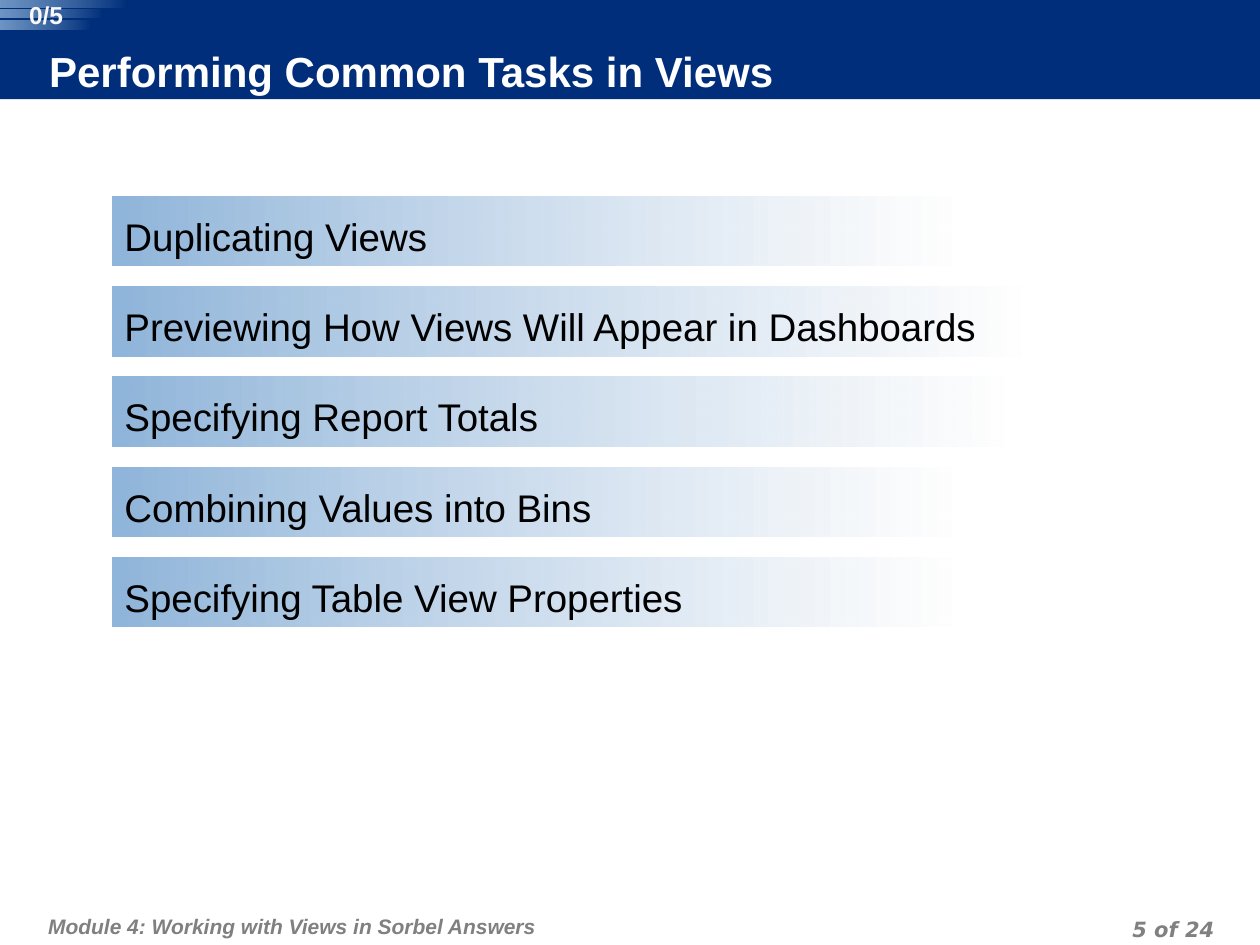
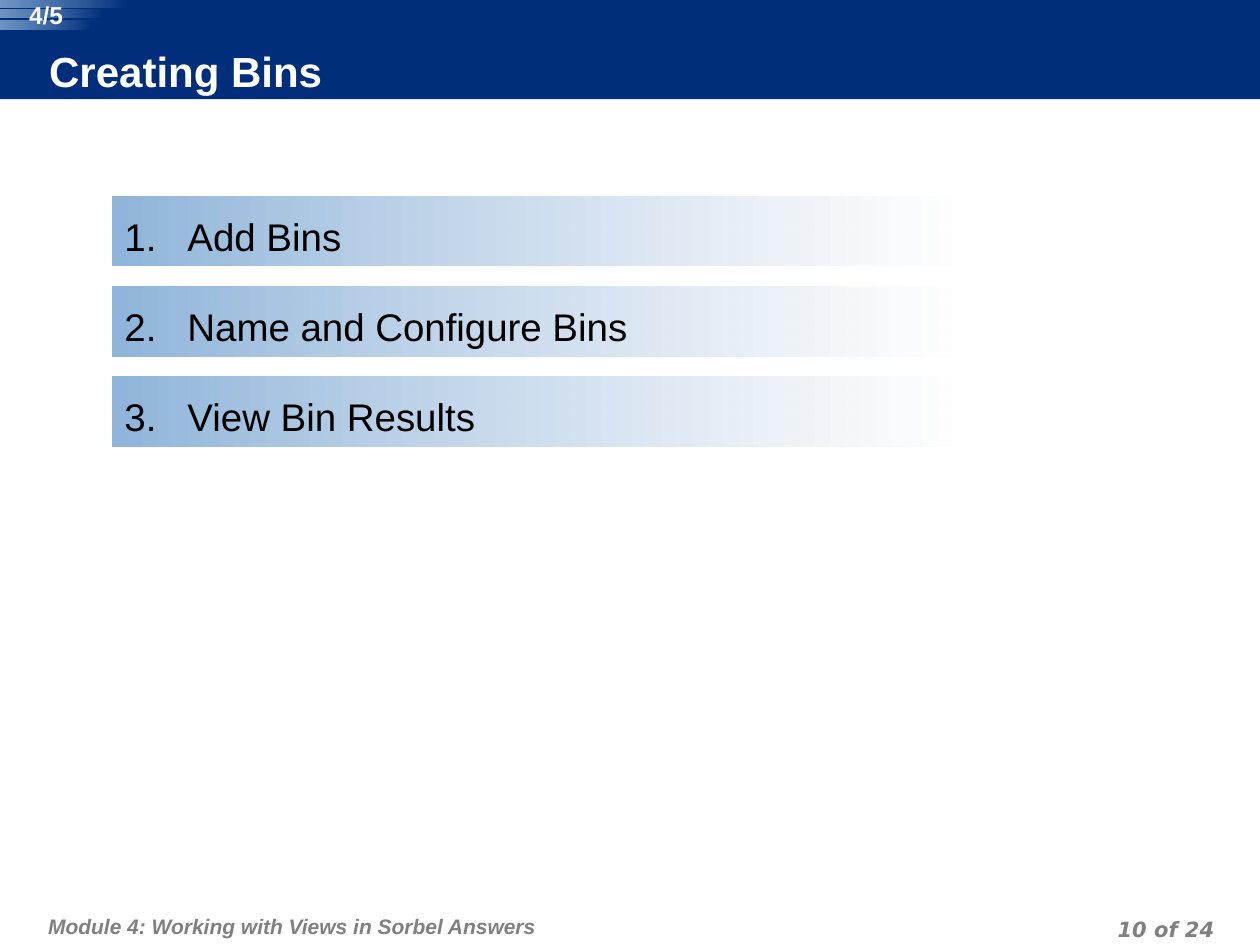
from lxml import etree
from pptx import Presentation
from pptx.dml.color import RGBColor
from pptx.enum import shapes, text
from pptx.oxml.ns import qn
from pptx.util import Cm, Pt

# Theme: colours, type sizes, text looks
ALIGN = text.PP_ALIGN
THEME = {
    "navy": RGBColor.from_string("002E7A"),
    "sky": RGBColor.from_string("90B5DA"),
    "pale": RGBColor.from_string("FEFEFE"),
    "title": dict(size=24, color="FFFFFF", bold=True, pad=(0, 0, 0.13, 0.13)),
    "item": dict(size=22, color="000000", pad=(0.25, 0.33, 0.25, 0.13)),
    "foot": dict(size=12, color="808080", bold=True, italic=True, line=18,
                 pad=(0.13, 0.25, 0.13, 0.13)),
    "page": dict(size=12, color="808080", bold=True, italic=True, line=18,
                 name="DejaVu Sans", align=ALIGN.RIGHT, pad=(0.13, 0, 0.13, 0)),
    "count": dict(size=14, color="F8F8F8", bold=True, align=ALIGN.CENTER,
                  pad=(0, 0, 0, 0)),
}

# Slide content: title, page, count, numbered or not, bars as (text, width)
WIDE = 16.92
DECK = [
    ("Performing Common Tasks in Views", "5 of 24", "0/5", False, [
        ("Duplicating Views", WIDE),
        ("Previewing How Views Will Appear in Dashboards", 18.31),
        ("Specifying Report Totals", 17.98),
        ("Combining Values into Bins", WIDE),
        ("Specifying Table View Properties", WIDE)]),
    ("Creating Bins", "10 of 24", "4/5", True, [
        ("Add Bins", WIDE),
        ("Name and Configure Bins", WIDE),
        ("View Bin Results", WIDE)]),
]
FOOT = "Module 4: Working with Views in Sorbel Answers"
LEFT, TOP, PITCH, TALL = 2.26, 3.96, 1.82, 1.4
STRIPES = [(0, 2.57, 0.15), (0.2, 2.08, 0.15), (0.41, 1.85, 0.18)]


def write(shape, words, look, anchor=text.MSO_ANCHOR.TOP):
    """Put formatted text into a shape and return its paragraph."""
    frame = shape.text_frame
    sides = zip(("left", "top", "right", "bottom"), look["pad"])
    layout = {"margin_" + side: Cm(pad) for side, pad in sides}
    layout.update(word_wrap=True, vertical_anchor=anchor,
                  auto_size=text.MSO_AUTO_SIZE.NONE)
    for key, value in layout.items():
        setattr(frame, key, value)
    para = frame.paragraphs[0]
    para.alignment = look.get("align", ALIGN.LEFT)
    if "line" in look:
        para.line_spacing = Pt(look["line"])
    run = para.add_run()
    run.text = words
    font = {"name": look.get("name", "Arial"), "size": Pt(look["size"]),
            "bold": look.get("bold", False), "italic": look.get("italic", False)}
    for key, value in font.items():
        setattr(run.font, key, value)
    run.font.color.rgb = RGBColor.from_string(look["color"])
    return para


def block(parent, box, *stops):
    """Draw a borderless rectangle; two (colour, opacity) stops make a fade."""
    shape = parent.add_shape(shapes.MSO_SHAPE.RECTANGLE, *map(Cm, box))
    shape.shadow.inherit = False
    shape.line.fill.background()
    if len(stops) == 1:
        shape.fill.solid()
        shape.fill.fore_color.rgb = stops[0][0]
        return shape
    shape.fill.gradient()
    shape.fill.gradient_angle = 180
    for stop, (color, _) in zip(shape.fill.gradient_stops, stops):
        stop.color.rgb = color
    nodes = shape.element.spPr.iter(qn("a:srgbClr"))
    for node, (_, alpha) in zip(nodes, stops):
        etree.SubElement(node, qn("a:alpha"), val=str(alpha * 1000))
    return shape


deck = Presentation()
deck.slide_width, deck.slide_height = Cm(25.4), Cm(19.05)
navy, sky, pale = THEME["navy"], THEME["sky"], THEME["pale"]

for head, page, count, numbered, bars in DECK:
    slide = deck.slides.add_slide(deck.slide_layouts[5])
    pool = slide.shapes

    # Top band, sent behind the title
    band = block(pool, (0, 0, 25.4, 2), (navy, 100))
    pool.title.element.addprevious(band.element)

    # Title
    title = pool.title
    spot = dict(left=0.99, top=0.97, width=19.99, height=1.02)
    for key, value in spot.items():
        setattr(title, key, Cm(value))
    title.fill.solid()
    title.fill.fore_color.rgb = navy
    write(title, head, THEME["title"], text.MSO_ANCHOR.MIDDLE)

    # Footer
    for words, look, box in [(FOOT, "foot", (0.84, 18.03, 15.7, 1.02)),
                             (page, "page", (18.69, 18.34, 5.92, 0.64))]:
        write(pool.add_textbox(*map(Cm, box)), words, THEME[look])

    # Fading bars
    for row, (words, width) in enumerate(bars):
        bar = block(pool, (LEFT, TOP + row * PITCH, width, TALL),
                    (pale, 75), (sky, 100))
        para = write(bar, words, THEME["item"])
        props = para._p.get_or_add_pPr()
        props.set("marL", str(Cm(1.27)))
        props.set("indent", str(-Cm(1.27)))
        if numbered:
            etree.SubElement(props, qn("a:buFont"), typeface="+mj-lt")
            etree.SubElement(props, qn("a:buAutoNum"), type="arabicPeriod",
                             startAt=str(row + 1))

    # Progress counter over its stripes
    group = pool.add_group_shape()
    for top, width, height in STRIPES:
        block(group.shapes, (0, top, width, height), (navy, 100), (sky, 76))
    label = group.shapes.add_textbox(Cm(0.28), 0, Cm(1.3), Cm(0.58))
    write(label, count, THEME["count"])

deck.save("out.pptx")
